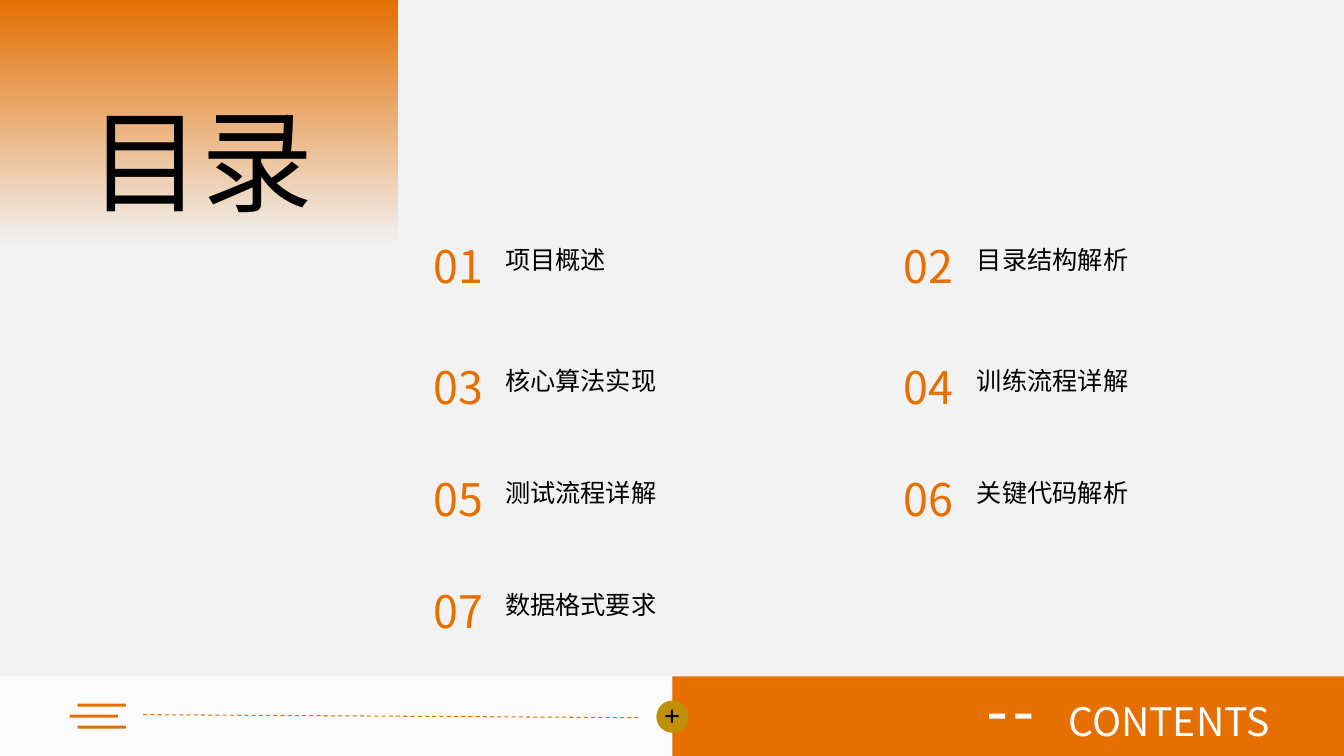
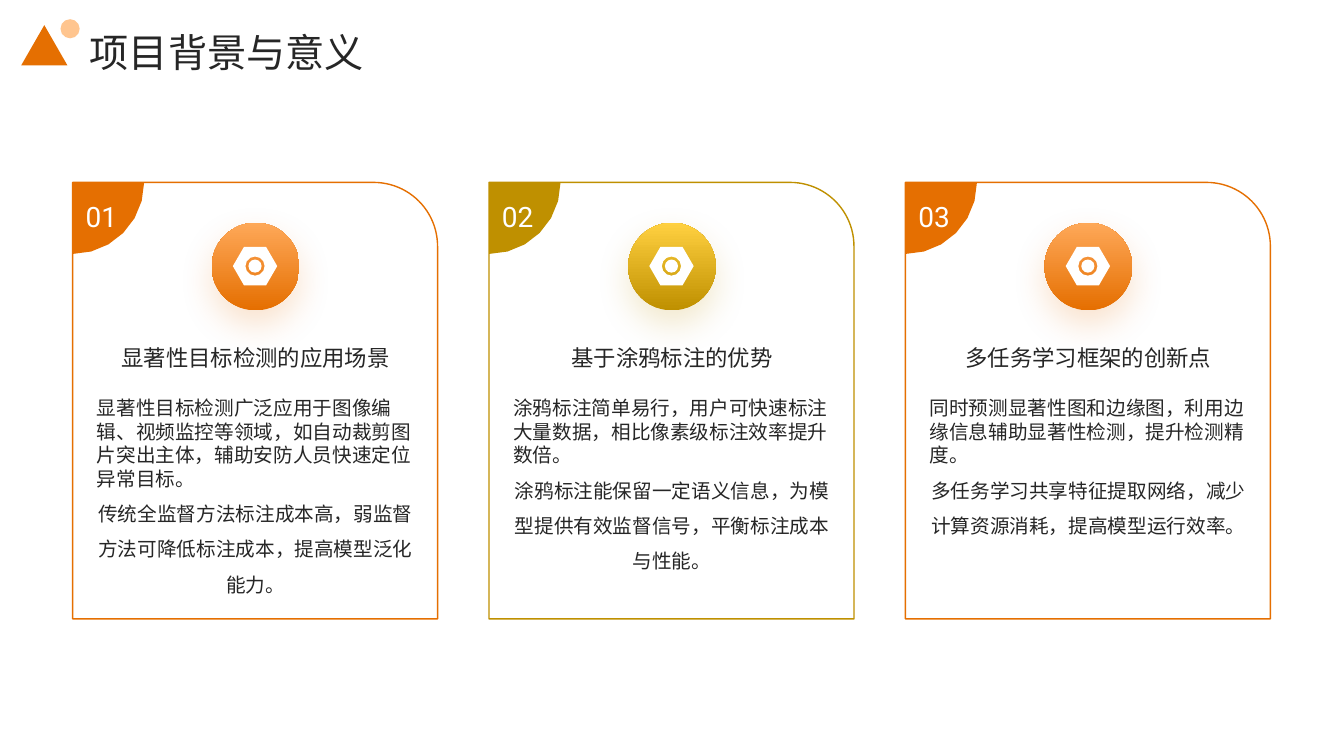
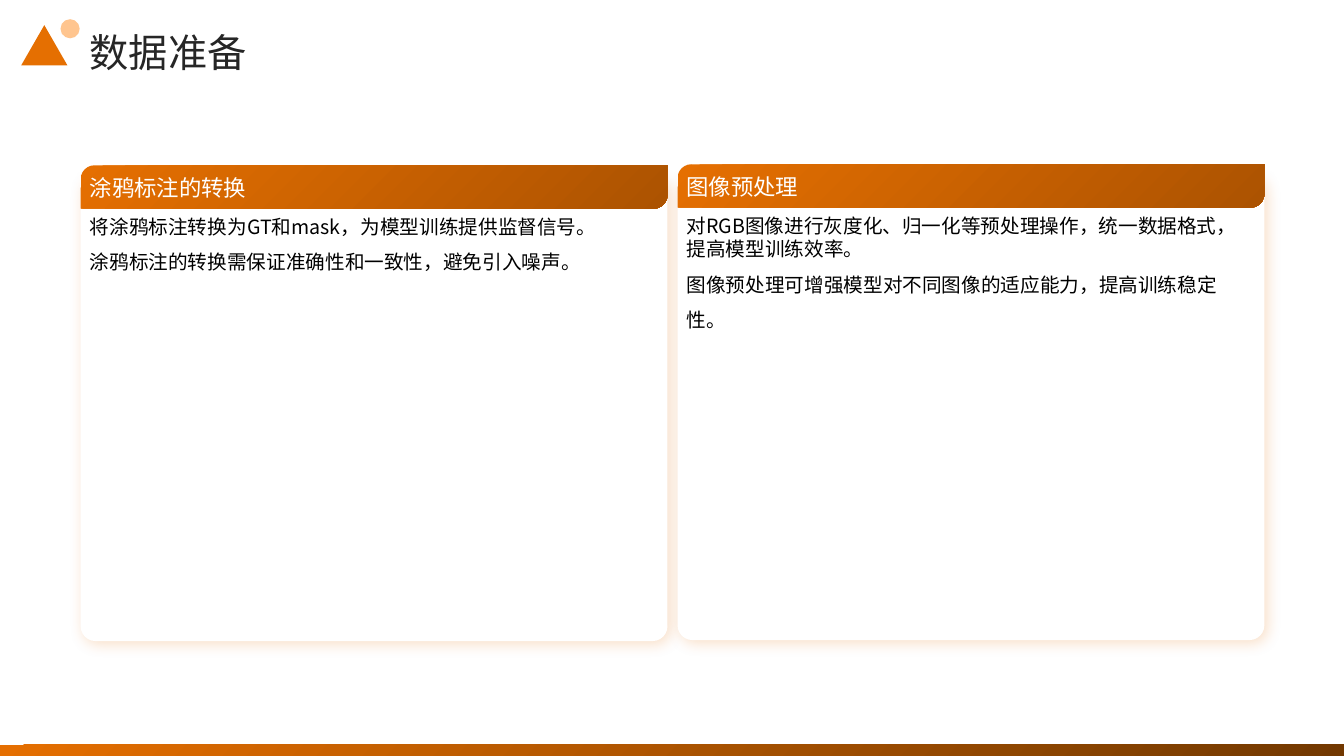
import math
from dataclasses import dataclass

import lxml.etree
import pptx
import pptx.util
from pptx.dml.color import RGBColor
from pptx.enum.dml import MSO_LINE
from pptx.enum.shapes import MSO_CONNECTOR, MSO_SHAPE
from pptx.enum.text import MSO_ANCHOR, PP_ALIGN
from pptx.oxml.ns import qn

PX = 9144
WIDE, HIGH = 1333, 750


@dataclass(frozen=True)
class Theme:
    orange: str = "E56F01"
    gold: str = "BF9000"
    peach: str = "FEA858"
    yellow: str = "FFD040"
    light: str = "FFC58F"
    brown: str = "723800"
    rust: str = "AC5301"
    gray: str = "F2F2F2"
    ink: str = "262626"
    black: str = "000000"
    white: str = "FFFFFF"
    font: str = "Noto Sans CJK SC"
    digit: str = "Roboto"
    cover: int = 80
    number: int = 32
    title: int = 28
    badge: int = 20
    label: int = 18
    head: int = 16
    body: int = 14


T = Theme()

TOPICS = ["项目概述", "目录结构解析", "核心算法实现", "训练流程详解",
          "测试流程详解", "关键代码解析", "数据格式要求"]

CARDS = [
    ("显著性目标检测的应用场景",
     ["显著性目标检测广泛应用于图像编辑、视频监控等领域，如自动裁剪图片突出主体，辅助安防人员快速定位异常目标。",
      "传统全监督方法标注成本高，弱监督方法可降低标注成本，提高模型泛化能力。"],
     T.orange, T.peach),
    ("基于涂鸦标注的优势",
     ["涂鸦标注简单易行，用户可快速标注大量数据，相比像素级标注效率提升数倍。",
      "涂鸦标注能保留一定语义信息，为模型提供有效监督信号，平衡标注成本与性能。"],
     T.gold, T.yellow),
    ("多任务学习框架的创新点",
     ["同时预测显著性图和边缘图，利用边缘信息辅助显著性检测，提升检测精度。",
      "多任务学习共享特征提取网络，减少计算资源消耗，提高模型运行效率。"],
     T.orange, T.peach),
]

PANELS = [
    (80, 164, "涂鸦标注的转换",
     ["将涂鸦标注转换为GT和mask，为模型训练提供监督信号。",
      "涂鸦标注的转换需保证准确性和一致性，避免引入噪声。"]),
    (672, 163, "图像预处理",
     ["对RGB图像进行灰度化、归一化等预处理操作，统一数据格式，提高模型训练效率。",
      "图像预处理可增强模型对不同图像的适应能力，提高训练稳定性。"]),
]


def rgb(code):
    return RGBColor.from_string(code)


def emu(*values):
    return [round(value * PX) for value in values]


def node(parent, tag, **attrs):
    return lxml.etree.SubElement(parent, qn(tag), {k: str(v) for k, v in attrs.items()})


def fade(shape, percent):
    color = list(shape._element.spPr.iter(qn("a:srgbClr")))[-1]
    node(color, "a:alpha", val=percent * 1000)


def paint(shape, color, edge=None):
    shape.shadow.inherit = False
    shape.fill.solid()
    shape.fill.fore_color.rgb = rgb(color)
    if edge:
        shape.line.color.rgb = rgb(edge)
        shape.line.width = pptx.util.Pt(1)
    else:
        shape.line.fill.background()


def blend(shape, first, last, angle):
    shape.fill.gradient()
    shape.fill.gradient_angle = 360 - angle
    for stop, color in zip(shape.fill.gradient_stops, (first, last)):
        stop.color.rgb = rgb(color)


def glow(shape, color, alpha, blur, dist, angle):
    effects = shape._element.spPr.find(qn("a:effectLst"))
    outer = node(effects, "a:outerShdw", blurRad=blur * 12700, dist=dist * 12700,
                 dir=angle * 60000, algn="ctr", rotWithShape=0)
    node(node(outer, "a:srgbClr", val=color), "a:alpha", val=alpha * 1000)


def draw(shapes, kind, box, color, edge=None, adjust=()):
    shape = shapes.add_shape(kind, *emu(*box))
    for i, value in enumerate(adjust):
        shape.adjustments[i] = value
    paint(shape, color, edge)
    return shape


def rect(shapes, box, color):
    return draw(shapes, MSO_SHAPE.RECTANGLE, box, color)


def oval(shapes, box, color):
    return draw(shapes, MSO_SHAPE.OVAL, box, color)


def outline(shapes, loops, color):
    loops = [[tuple(emu(*point)) for point in loop] for loop in loops]
    path = shapes.build_freeform(*loops[0][0], scale=1.0)
    path.add_line_segments(loops[0][1:], close=True)
    for loop in loops[1:]:
        path.move_to(*loop[0])
        path.add_line_segments(loop[1:], close=True)
    paint(path.convert_to_shape(), color)


def arc(x, y, radius, sweep, step):
    angles = [math.radians(a) for a in range(0, sweep + 1, step)]
    return [(x + radius * math.cos(a), y + radius * math.sin(a)) for a in angles]


def text(shapes, box, lines, size, color, align=PP_ALIGN.LEFT, space=1.0,
         anchor=MSO_ANCHOR.MIDDLE, font=T.font):
    frame = shapes.add_textbox(*emu(*box)).text_frame
    frame.word_wrap = True
    frame.margin_left = frame.margin_right = frame.margin_top = frame.margin_bottom = 0
    frame.vertical_anchor = anchor
    frame.text = "\n".join(lines)
    for para in frame.paragraphs:
        para.alignment = align
        para.line_spacing = space
        para._p.get_or_add_pPr().set("hangingPunct", "0")
        for run in para.runs:
            run.font.size = pptx.util.Pt(size)
            run.font.color.rgb = rgb(color)
            run.font.name = font
            node(run._r.get_or_add_rPr(), "a:ea", typeface=font)
    return frame


def body(shapes, box, lines, color, align=PP_ALIGN.LEFT):
    frame = text(shapes, box, lines, T.body, color, align, 1.5, MSO_ANCHOR.TOP)
    first = frame.paragraphs[0]
    first.alignment = PP_ALIGN.LEFT
    first.line_spacing = 1.0


def page(deck, color):
    shapes = deck.slides.add_slide(deck.slide_layouts[6]).shapes
    rect(shapes, (0, 0, WIDE, HIGH), color)
    return shapes


def title(shapes, words):
    text(shapes, (89, 15, 1135, 59), [words], T.title, T.ink, space=1.3)
    draw(shapes, MSO_SHAPE.ISOSCELES_TRIANGLE, (21, 25, 46, 40), T.orange)
    oval(shapes, (60, 19, 19, 19), T.light)


def footer(shapes):
    fade(rect(shapes, (0, 671, 667, 79), T.white), 74)
    rect(shapes, (667, 671, 666, 79), T.orange)
    menu = shapes.add_group_shape().shapes
    for x, y in ((77, 698), (69, 709), (77, 720)):
        rect(menu, (x, y, 48, 3), T.orange)
    for x in (981, 1007):
        rect(shapes, (x, 708, 16, 5), T.white)
    rule = shapes.add_connector(MSO_CONNECTOR.STRAIGHT, *emu(142, 709, 633, 712))
    rule.line.color.rgb = rgb(T.orange)
    rule.line.width = pptx.util.Pt(0.75)
    rule.line.dash_style = MSO_LINE.DASH
    node(rule._element.spPr, "a:effectLst")
    oval(shapes, (651, 695, 32, 32), T.gold)
    draw(shapes, MSO_SHAPE.CROSS, (660, 704, 13, 13), T.black, adjust=[0.42])
    text(shapes, (891, 677, 368, 66), ["CONTENTS"], T.title, T.white, PP_ALIGN.RIGHT, 1.2)


def contents(deck):
    shapes = page(deck, T.gray)
    block = rect(shapes, (0, 0, 394, 241), T.orange)
    blend(block, T.orange, T.orange, 90)
    fade(block, 0)
    footer(shapes)
    text(shapes, (74, 77, 251, 134), ["目录"], T.cover, T.black, PP_ALIGN.CENTER, 1.2)
    tops = (209, 329, 440, 551)
    columns = ((430, 501), (896, 969))
    for i, topic in enumerate(TOPICS):
        top = tops[i // 2]
        left, label = columns[i % 2]
        text(shapes, (left, top, 98, 82), [f"{i + 1:02}"], T.number, T.orange, space=1.5)
        text(shapes, (label, top - 5, 290, 92), [topic], T.label, T.black, space=1.5)


def nut(shapes, x, y):
    hexa = [(x - 22, y), (x - 11, y - 19), (x + 11, y - 19),
            (x + 22, y), (x + 11, y + 19), (x - 11, y + 19)]
    rings = [arc(x, y, radius, 330, 30) for radius in (9.5, 6.5)]
    outline(shapes, [hexa, *rings], T.white)


def card(shapes, x, number, head, lines, color, tint):
    y = 181
    draw(shapes, MSO_SHAPE.ROUND_1_RECTANGLE, (x, y, 362, 433), T.white, color, [0.175])
    outline(shapes, [[(x, y)] + arc(x, y, 71, 90, 15)], color)
    text(shapes, (x + 1, 191, 55, 43), [f"{number:02}"], T.badge, T.white,
         PP_ALIGN.CENTER, 1.2, MSO_ANCHOR.TOP, T.digit)
    disc = oval(shapes, (x + 138, 221, 87, 87), color)
    blend(disc, color, tint, 270)
    glow(disc, color, 20, 25, 10, 90)
    nut(shapes, x + 181, 264)
    text(shapes, (x + 24, 335, 315, 35), [head], T.head, T.ink, PP_ALIGN.CENTER, 1.2)
    body(shapes, (x + 24, 393, 315, 217), lines, T.ink, PP_ALIGN.CENTER)


def purpose(deck):
    shapes = page(deck, T.white)
    for i, item in enumerate(CARDS):
        card(shapes, 72 + 413 * i, i + 1, *item)
    title(shapes, "项目背景与意义")


def panel(shapes, x, y, head, lines):
    base = draw(shapes, MSO_SHAPE.ROUNDED_RECTANGLE, (x, y + 11, 582, 461), T.white,
                adjust=[0.032])
    glow(base, T.orange, 21, 11, 3, 45)
    band = draw(shapes, MSO_SHAPE.ROUND_2_DIAG_RECTANGLE, (x, y, 582, 43), T.orange,
                adjust=[0.319, 0])
    blend(band, T.orange, T.rust, 45)
    text(shapes, (x + 9, y + 5, 565, 35), [head], T.head, T.white)
    body(shapes, (x + 9, y + 49, 565, 407), lines, T.black)


def data(deck):
    shapes = page(deck, T.white)
    blend(rect(shapes, (0, 739, WIDE, 12), T.orange), T.orange, T.brown, 45)
    for item in PANELS:
        panel(shapes, *item)
    title(shapes, "数据准备")


def main():
    deck = pptx.Presentation()
    deck.slide_width, deck.slide_height = emu(WIDE, HIGH)
    contents(deck)
    purpose(deck)
    data(deck)
    deck.save("out.pptx")


if __name__ == "__main__":
    main()
